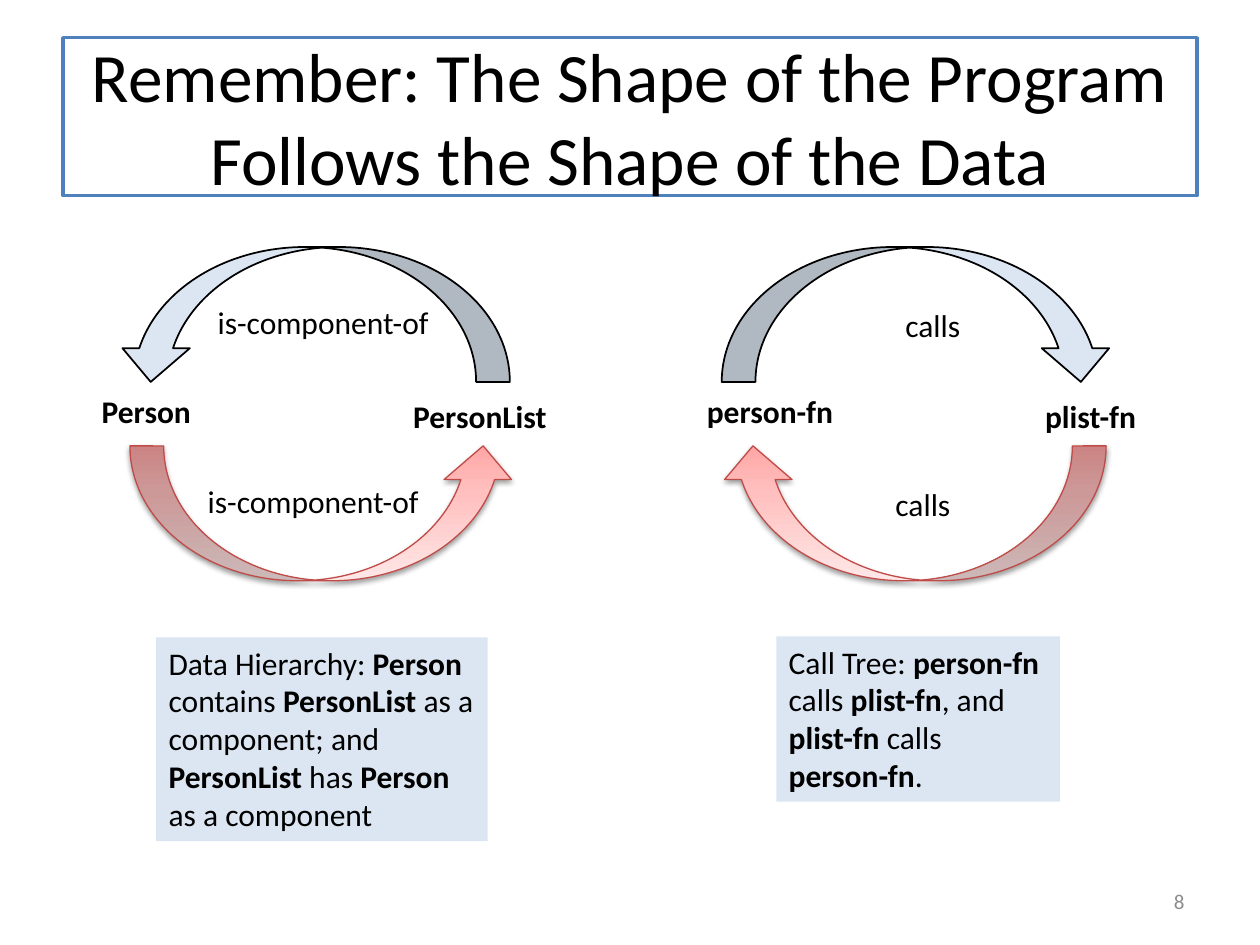
from lxml import etree
from pptx import Presentation, util as u
from pptx.dml.color import RGBColor
from pptx.enum import shapes, text
from pptx.oxml import parse_xml
from pptx.oxml.ns import nsdecls, qn

BODY = {"name": "Calibri", "size": u.Pt(18), "bold": False}
BLACK, PALE_BLUE = "000000", "DCE6F2"
LEFT, CENTER, RIGHT = text.PP_ALIGN.LEFT, text.PP_ALIGN.CENTER, text.PP_ALIGN.RIGHT
RED_STOPS = [(0, "FFA6A5"), (35, "FFC0BF"), (100, "FFE7E7")]
LABEL_HEIGHT = 1.02
ARROW_HEIGHT = 2.72

# Each cycle: black arrow (left, flip), red arrow (left, flip),
# then labels (text, left, top, width, alignment)
CYCLES = [
    ((2.36, "h"), (2.62, "v"), [
        ("*Person*", 1.8, 7.77, 2.54, LEFT),
        ("*PersonList*", 8.08, 7.87, 3.43, LEFT),
        ("is-component-of", 4.09, 5.99, 4.85, CENTER),
        ("is-component-of", 3.89, 9.6, 4.85, CENTER),
    ]),
    ((14.55, ""), (14.5, "hv"), [
        ("*person-fn*", 14, 7.77, 3.15, LEFT),
        ("*plist-fn*", 20.27, 7.87, 3.43, CENTER),
        ("calls", 16.38, 6.05, 4.85, CENTER),
        ("calls", 16.18, 9.65, 4.85, CENTER),
    ]),
]
SUMMARIES = [
    ("Data Hierarchy: *Person* contains *PersonList* as a component; and "
     "*PersonList* has *Person* as a component", (3.15, 12.85, 6.68, 4.11)),
    ("Call Tree: *person-fn* calls *plist-fn*, and *plist-fn* calls *person-fn*.",
     (15.65, 12.83, 5.72, 3.33)),
]


def color(hex_string):
    return RGBColor.from_string(hex_string)


def lengths(box):
    return [u.Cm(value) for value in box]


def set_attributes(target, values):
    for name, value in values.items():
        setattr(target, name, value)


def paint(shape, fill, line=None, width=1):
    shape.fill.solid()
    shape.fill.fore_color.rgb = color(fill)
    if line:
        shape.line.color.rgb = color(line)
        shape.line.width = u.Pt(width)
    else:
        shape.line.fill.background()


def write(shape, content, alignment=LEFT, font_color=BLACK, frame=None, **font):
    """Fill the shape with one paragraph; words between asterisks are bold."""
    set_attributes(shape.text_frame, {"word_wrap": True, **(frame or {})})
    paragraph = shape.text_frame.paragraphs[0]
    paragraph.alignment = alignment
    for index, part in enumerate(content.split("*")):
        if part:
            run = paragraph.add_run()
            run.text = part
            set_attributes(run.font, {**BODY, "bold": index % 2 == 1, **font})
            run.font.color.rgb = color(font_color)


def add_title(slide):
    title = slide.shapes.title
    place = lengths((1.27, 0.76, 22.86, 3.18))
    set_attributes(title, dict(zip(("left", "top", "width", "height"), place)))
    paint(title, "FFFFFF", "4F81BD", 2)
    write(title, "Remember: The Shape of the Program Follows the Shape of the Data",
          CENTER, size=u.Pt(39.6),
          frame={"vertical_anchor": text.MSO_ANCHOR.MIDDLE,
                 "auto_size": text.MSO_AUTO_SIZE.NONE})


def add_label(parent, content, left, top, width, alignment):
    label = parent.add_textbox(*lengths((left, top, width, LABEL_HEIGHT)))
    write(label, content, alignment,
          frame={"auto_size": text.MSO_AUTO_SIZE.SHAPE_TO_FIT_TEXT})


def add_summary(slide, content, box):
    summary = slide.shapes.add_shape(shapes.MSO_SHAPE.RECTANGLE, *lengths(box))
    summary.shadow.inherit = False
    paint(summary, PALE_BLUE)
    write(summary, content,
          frame={"vertical_anchor": text.MSO_ANCHOR.TOP,
                 "auto_size": text.MSO_AUTO_SIZE.SHAPE_TO_FIT_TEXT})


def add_arrow(parent, left, top, width, flip):
    arrow = parent.add_shape(shapes.MSO_SHAPE.CURVED_DOWN_ARROW,
                             *lengths((left, top, width, ARROW_HEIGHT)))
    arrow.shadow.inherit = False
    for axis in flip:
        arrow._element.spPr.find(qn("a:xfrm")).set("flip" + axis.upper(), "1")
    return arrow


def add_gradient_and_shadow(shape):
    properties = shape._element.spPr
    properties.remove(properties.find(qn("a:solidFill")))
    stops = "".join(f'<a:gs pos="{position * 1000}"><a:srgbClr val="{value}"/></a:gs>'
                    for position, value in RED_STOPS)
    gradient = parse_xml(
        f'<a:gradFill {nsdecls("a")} rotWithShape="1"><a:gsLst>{stops}</a:gsLst>'
        '<a:lin ang="16200000" scaled="0"/></a:gradFill>')
    properties.find(qn("a:prstGeom")).addnext(gradient)
    shadow = etree.SubElement(properties.find(qn("a:effectLst")), qn("a:outerShdw"),
                              blurRad="40000", dist="20000", dir="5400000",
                              rotWithShape="0")
    shade = etree.SubElement(shadow, qn("a:srgbClr"), val=BLACK)
    etree.SubElement(shade, qn("a:alpha"), val="38000")


def add_cycle(slide, upper, lower, labels):
    group = slide.shapes.add_group_shape().shapes
    upper_left, upper_flip = upper
    paint(add_arrow(group, upper_left, 4.98, 7.92, upper_flip), PALE_BLUE, BLACK)
    lower_left, lower_flip = lower
    red_arrow = add_arrow(group, lower_left, 8.99, 7.8, lower_flip)
    paint(red_arrow, RED_STOPS[0][1], "BF4C48", 0.75)
    add_gradient_and_shadow(red_arrow)
    for label in labels:
        add_label(group, *label)


def add_slide_number(slide):
    number = slide.shapes.add_textbox(*lengths((18.21, 17.65, 5.92, LABEL_HEIGHT)))
    write(number, "8", RIGHT, "8C8C8C", size=u.Pt(12),
          frame={"vertical_anchor": text.MSO_ANCHOR.MIDDLE})


def main():
    presentation = Presentation()
    presentation.slide_width, presentation.slide_height = lengths((25.4, 19.05))
    slide = presentation.slides.add_slide(presentation.slide_layouts[5])
    add_title(slide)
    add_slide_number(slide)
    for content, box in SUMMARIES:
        add_summary(slide, content, box)
    for cycle in CYCLES:
        add_cycle(slide, *cycle)
    presentation.save("out.pptx")


if __name__ == "__main__":
    main()
